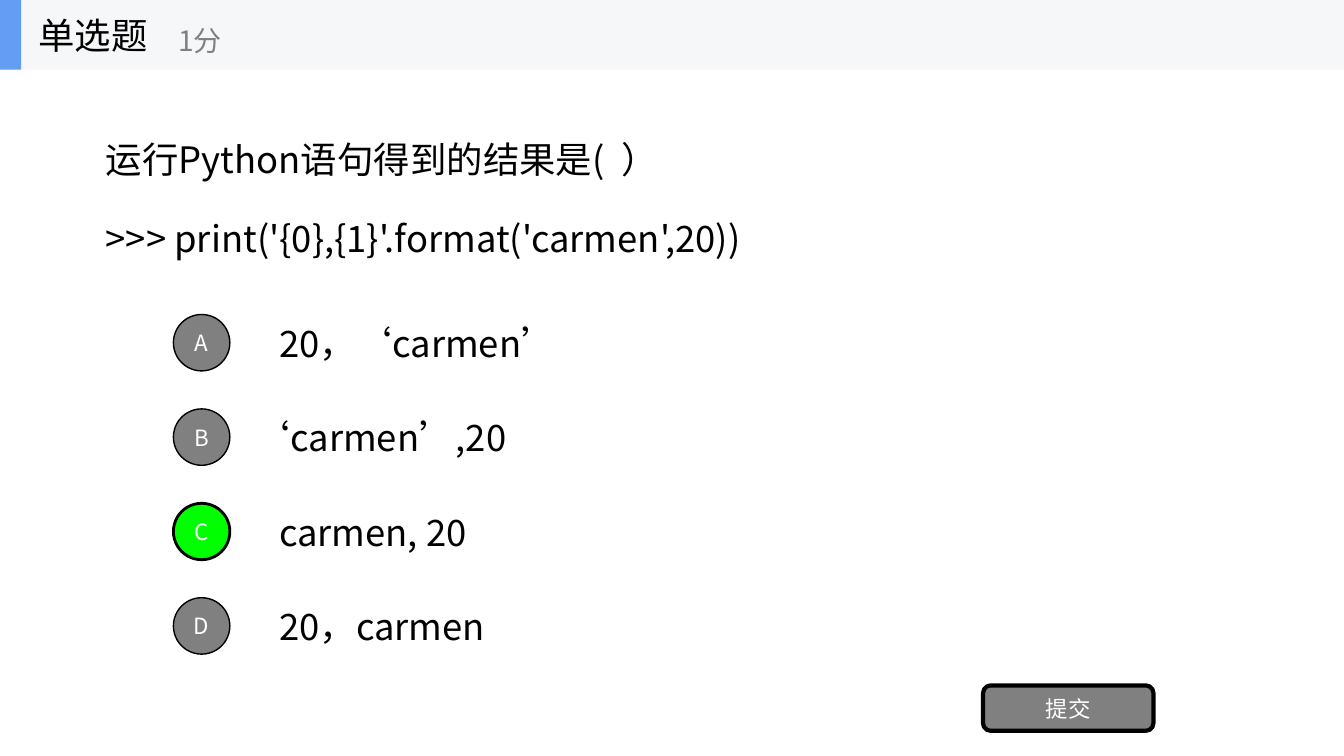
from lxml.etree import SubElement
from pptx import Presentation
from pptx.dml.color import RGBColor
from pptx.enum.lang import MSO_LANGUAGE_ID as Lang
from pptx.enum.shapes import MSO_SHAPE as Shape
from pptx.enum.text import MSO_ANCHOR as Anchor, PP_ALIGN as Align
from pptx.oxml.ns import qn
from pptx.util import Inches, Pt

FONT = "Noto Sans CJK SC"
BLACK, WHITE, GREY, GREEN = "000000", "FFFFFF", "808080", "00FF00"
OPTIONS = ["20，‘carmen’", "‘carmen’,20", "carmen, 20", "20，carmen"]
ANSWER = "C"


def paint(color, tone):
    color.rgb = RGBColor.from_string(tone)


def write(shape, text, size, tone, align=Align.LEFT, wrap=True):
    """Set the text of a shape, one paragraph a line, and format its runs."""
    frame = shape.text_frame
    frame.text = text
    frame.word_wrap = wrap
    frame.vertical_anchor = Anchor.MIDDLE
    for para in frame.paragraphs:
        para.alignment = align
        for run in para.runs:
            font = run.font
            font.name, font.size, font.bold = FONT, Pt(size), False
            font.language_id = Lang.SIMPLIFIED_CHINESE
            paint(font.color, tone)
            SubElement(font._element, qn("a:ea"), typeface=FONT)


def add_text(slide, box, text, size=26, tone=BLACK, wrap=True):
    shape = slide.shapes.add_textbox(*map(Inches, box))
    write(shape, text, size, tone, wrap=wrap)
    return shape


def add_block(slide, kind, box, fill, line=0):
    shape = slide.shapes.add_shape(kind, *map(Inches, box))
    shape.shadow.inherit = False
    shape.fill.solid()
    paint(shape.fill.fore_color, fill)
    if line:
        paint(shape.line.color, BLACK)
        shape.line.width = Pt(line)
    else:
        shape.line.fill.background()
    return shape


def add_button(slide, kind, box, text, fill, line):
    shape = add_block(slide, kind, box, fill, line)
    frame = shape.text_frame
    frame.margin_left = frame.margin_right = 0
    write(shape, text, 16, WHITE, Align.CENTER)


def add_header(slide, x, y, w, h):
    add_block(slide, Shape.RECTANGLE, (x, y, w, h), "F6F7F8")
    add_block(slide, Shape.RECTANGLE, (x, y, 0.21, h), "639EF4")
    title = slide.shapes.title
    title.left, title.top = Inches(x + 0.28), Inches(y)
    title.width, title.height = Inches(2.08), Inches(h)
    write(title, "单选题", 26, BLACK, wrap=False)
    slide.shapes._spTree.append(title._element)  # in front of the band
    add_text(slide, (x + 1.67, y + 0.12, 2.5, 0.56), "1分", 20, GREY, False)


def add_question(slide, *box):
    stem = add_text(slide, box, "运行Python语句得到的结果是(  ）\n"
                    ">>> print('{0},{1}'.format('carmen',20))")
    stem.text_frame.paragraphs[1].space_before = Pt(25.5)


def add_options(slide, x, y, w, h):
    """Stack lettered options in equal rows; the answer's badge is green."""
    row, badge = 0.7, 0.56
    step = (h - row) / (len(OPTIONS) - 1)
    for i, (mark, text) in enumerate(zip("ABCD", OPTIONS)):
        top = y + i * step
        # An opening quote is full width, so it hangs left of the column
        left = x + (0.7 if text.startswith("‘") else 0.95)
        add_text(slide, (left, top, x + w - left, row), text)
        fill, line = (GREEN, 2) if mark == ANSWER else (GREY, 1)
        spot = (x, top + (row - badge) / 2, badge, badge)
        add_button(slide, Shape.OVAL, spot, mark, fill, line)


def main():
    deck = Presentation()
    deck.slide_width, deck.slide_height = Inches(13.33), Inches(7.5)
    slide = deck.slides.add_slide(deck.slide_layouts[5])
    add_header(slide, 0, 0, 13.33, 0.69)
    add_question(slide, 0.95, 0.8, 10.67, 2.34)
    add_options(slide, 1.72, 3.05, 10.28, 3.51)
    add_button(slide, Shape.ROUNDED_RECTANGLE, (9.75, 6.8, 1.69, 0.45),
               "提交", GREY, 3)
    deck.save("out.pptx")


if __name__ == "__main__":
    main()
